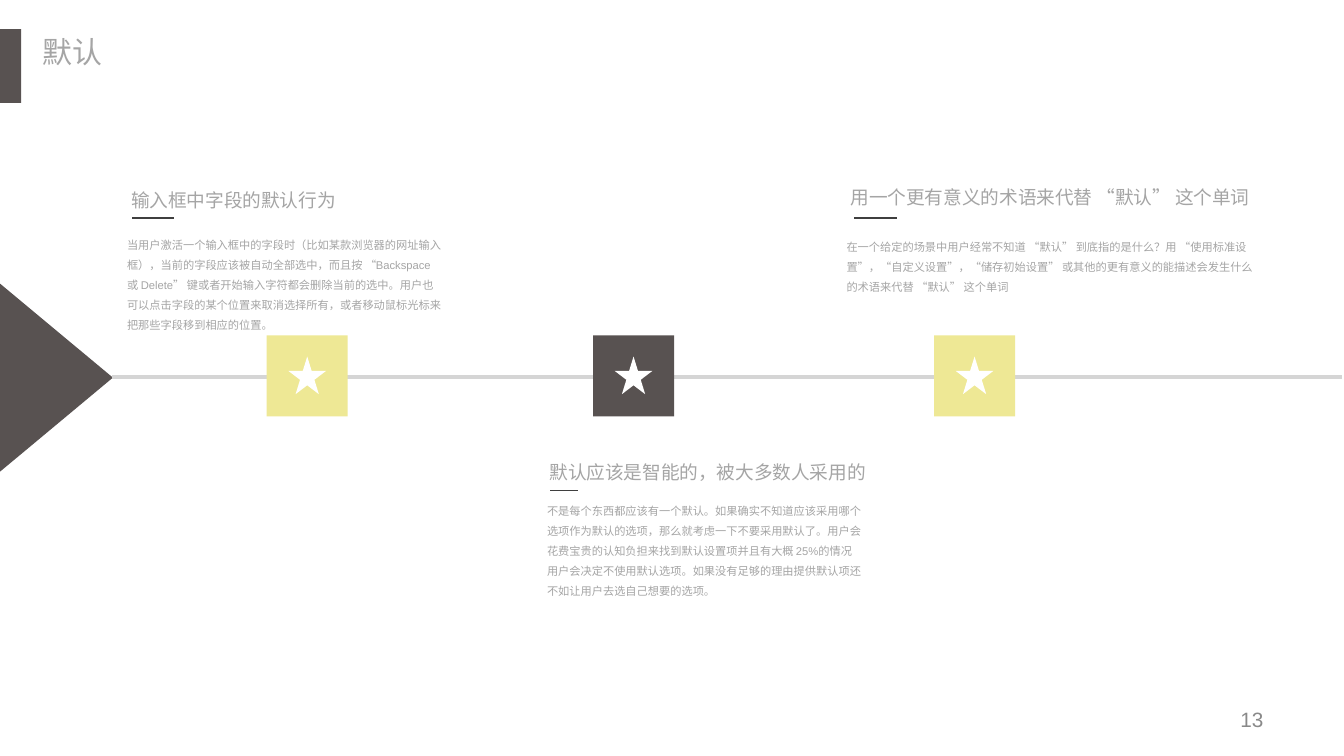
from pptx import Presentation
from pptx.dml.color import RGBColor
from pptx.enum.shapes import MSO_CONNECTOR as Link, MSO_SHAPE as Form
from pptx.enum.text import MSO_ANCHOR as Anchor, PP_ALIGN as Align
from pptx.util import Pt
from lxml.etree import SubElement
from pptx.oxml.ns import qn

DARK, LIME, GREY = "585251", "EEE895", "A5A5A5"

deck = Presentation()
deck.slide_width, deck.slide_height = Pt(720), Pt(405)
slide = deck.slides.add_slide(deck.slide_layouts[6])
shapes = slide.shapes
color = RGBColor.from_string


def draw(form, x, y, w, h, fill):
    shape = shapes.add_shape(form, Pt(x), Pt(y), Pt(w), Pt(h))
    shape.shadow.inherit = False
    shape.fill.solid()
    shape.fill.fore_color.rgb = color(fill)
    shape.line.fill.background()
    return shape


def write(text, x, y, w, h, size, face, tint=GREY, pad=(7.2, 3.6)):
    frame = shapes.add_textbox(Pt(x), Pt(y), Pt(w), Pt(h)).text_frame
    frame.word_wrap = True
    frame.margin_left = frame.margin_right = Pt(pad[0])
    frame.margin_top = frame.margin_bottom = Pt(pad[1])
    para = frame.paragraphs[0]
    para.text = text
    para.font.size = Pt(size)
    para.font.name = face
    para.font.color.rgb = color(tint)
    return frame


page = write("13", 516.2, 375.5, 167.8, 21.6, 11.1, "Arial", "898989")
page.vertical_anchor = Anchor.MIDDLE
page.paragraphs[0].alignment = Align.RIGHT
page.paragraphs[0].line_spacing = 0.9

draw(Form.RECTANGLE, 0, 15.6, 11.3, 39.6, DARK)
write("默认", 17.3, 15.5, 48, 24.5, 16, "Noto Sans CJK SC", pad=(5.6, 2.8))
draw(Form.ISOSCELES_TRIANGLE, -20.2, 172.1, 100.8, 60.5, DARK).rotation = 90

rules = [
    (60, 719, 202, 2, "D5D5D5"),
    (70.8, 93.4, 116.8, 1, "3F3F3F"),
    (294.7, 309.7, 262.8, 0.5, "3F3F3F"),
    (457.7, 480.5, 116.8, 1, "3F3F3F"),
]
for left, right, y, width, tint in rules:
    rule = shapes.add_connector(Link.STRAIGHT, Pt(left), Pt(y), Pt(right), Pt(y))
    rule.line.width = Pt(width)
    rule.line.color.rgb = color(tint)
    SubElement(rule._element.spPr, qn("a:effectLst"))

side, star = 43.4, 20.2
for x, fill in [(142.9, LIME), (317.7, DARK), (500.4, LIME)]:
    draw(Form.RECTANGLE, x, 179.7, side, side, fill)
    draw(Form.STAR_5_POINT, x + (side - star) / 2, 191, star, star, "FFFFFF")

notes = [
    ("输入框中字段的默认行为", 63.2, 97.9, 130,
     "当用户激活一个输入框中的字段时（比如某款浏览器的网址输入框），当前的字段应该被自动全部选中，"
     "而且按 “Backspace 或 Delete” 键或者开始输入字符都会删除当前的选中。"
     "用户也可以点击字段的某个位置来取消选择所有，或者移动鼠标光标来把那些字段移到相应的位置。",
     61, 120.4, 182.9, 61.2),
    ("默认应该是智能的，被大多数人采用的", 287.3, 243.4, 190,
     "不是每个东西都应该有一个默认。如果确实不知道应该采用哪个选项作为默认的选项，"
     "那么就考虑一下不要采用默认了。用户会花费宝贵的认知负担来找到默认设置项并且有大概 25%的情况"
     "用户会决定不使用默认选项。如果没有足够的理由提供默认项还不如让用户去选自己想要的选项。",
     286, 262.8, 182.9, 61.2),
    ("用一个更有意义的术语来代替 “默认” 这个单词", 448.6, 95.8, 236,
     "在一个给定的场景中用户经常不知道 “默认” 到底指的是什么？用 “使用标准设置”，“自定义设置”，"
     "“储存初始设置” 或其他的更有意义的能描述会发生什么的术语来代替 “默认” 这个单词",
     446.4, 121.5, 231.8, 39.6),
]
for head, x, y, w, body, left, top, wide, high in notes:
    write(head, x, y, w, 19.4, 10, "Calibri")
    text = write(body, left, top, wide, high, 6, "Arial")
    text.paragraphs[0].line_spacing = 1.5

deck.save("out.pptx")
